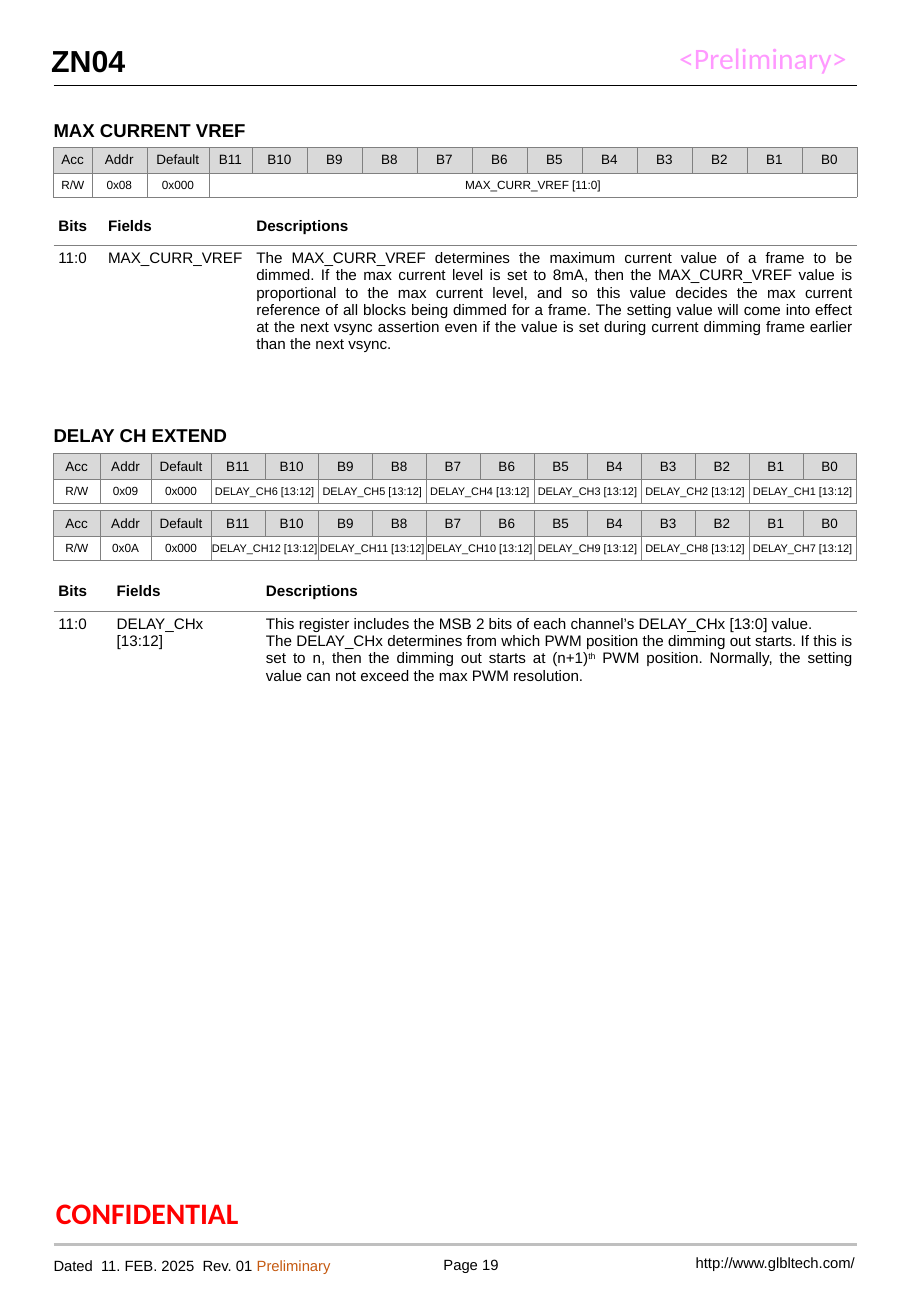
import pptx
import pptx.util
import pptx.dml.color
import pptx.enum.shapes
import pptx.enum.text
import pptx.oxml
import pptx.oxml.ns
from lxml import etree

Cm, Pt = pptx.util.Cm, pptx.util.Pt
ALIGN = pptx.enum.text.PP_ALIGN
ANCHOR = pptx.enum.text.MSO_ANCHOR

LEFT, RIGHT = 1.12, 17.93
WIDTH = 16.8
INSET = 0.1
HEAD_ROW, VALUE_ROW = 0.54, 0.5
GREY, BAND = "808080", "D9D9D9"

RULES = [(1.78, "000000", 0.5), (26.01, "BFBFBF", 2)]

LABELS = [
    (1.07, 0.76, 16.87, 1.02, ["ZN04"], dict(size=18, bold=True, pad=0.13)),
    (14.2, 0.84, 3.94, 0.76, ["<Preliminary>"], dict(size=17.6, font="Calibri", color="FF99FF")),
    (LEFT, 2.36, 16.76, 0.74, ["MAX CURRENT VREF"], dict(size=11, bold=True, pad=0.13)),
    (LEFT, 8.74, 16.76, 0.74, ["DELAY CH EXTEND"], dict(size=11, bold=True, pad=0.13)),
    (1.17, 24.97, 5.54, 0.79, ["CONFIDENTIAL"],
     dict(size=17.6, font="Calibri", color="FF0000", bold=True)),
    (LEFT, 26.19, 6.43, 0.53,
     [[("Dated  11. FEB. 2025  Rev. 01 ", {}), ("Preliminary", {"color": "C55A11"})]],
     dict(size=8.8, anchor=ANCHOR.MIDDLE)),
    (9.19, 26.26, 1.32, 0.38, ["Page 19"], dict(size=8.8, align=ALIGN.CENTER)),
    (14.2, 26.14, 3.68, 0.5, ["http://www.glbltech.com/"],
     dict(size=8.8, align=ALIGN.RIGHT, anchor=ANCHOR.MIDDLE)),
]

BITS = [f"B{n}" for n in range(11, -1, -1)]
HEADS = ["Acc", "Addr", "Default"] + BITS
WIDE_COLS, DELAY_COLS = [0.8, 1.15, 1.3, 0.9], [0.97, 1.07, 1.25]

REGISTERS = [
    (3.08, WIDE_COLS, "0x08", ["MAX_CURR_VREF [11:0]"], 7),
    (9.48, DELAY_COLS, "0x09", [f"DELAY_CH{n} [13:12]" for n in range(6, 0, -1)], 6.5),
    (10.67, DELAY_COLS, "0x0A", [f"DELAY_CH{n} [13:12]" for n in range(12, 6, -1)], 6.5),
]

FIELDS = [
    (4.31, [1.04, 3.1], [0.82, 2.49], ["MAX_CURR_VREF"], [
        "The MAX_CURR_VREF determines the maximum current value of a frame to be dimmed. "
        "If the max current level is set to 8mA, then the MAX_CURR_VREF value is proportional "
        "to the max current level, and so this value decides the max current reference of all "
        "blocks being dimmed for a frame. The setting value will come into effect at the next "
        "vsync assertion even if the value is set during current dimming frame earlier than "
        "the next vsync."]),
    (11.94, [1.22, 3.12], [0.84, 1.73], ["DELAY_CHx", "[13:12]"], [
        "This register includes the MSB 2 bits of each channel’s DELAY_CHx [13:0] value.",
        [("The DELAY_CHx determines from which PWM position the dimming out starts. If this is "
          "set to n, then the dimming out starts at (n+1)", {}),
         ("th", {"baseline": 30000}),
         (" PWM position. Normally, the setting value can not exceed the max PWM resolution.", {})]]),
]


def rgb(value):
    return pptx.dml.color.RGBColor.from_string(value)


def write(tf, paragraphs, size=9, font="Arial", color="000000", bold=False, align=ALIGN.LEFT):
    for i, runs in enumerate(paragraphs):
        p = tf.add_paragraph() if i else tf.paragraphs[0]
        p.alignment = align
        for text, change in [(runs, {})] if isinstance(runs, str) else runs:
            r = p.add_run()
            r.text = text
            r.font.size, r.font.name, r.font.bold = Pt(size), font, bold
            r.font.color.rgb = rgb(change.get("color", color))
            if "baseline" in change:
                r.font._element.set("baseline", str(change["baseline"]))


def add_label(s, x, y, w, h, paragraphs, pad=0, anchor=ANCHOR.TOP, **style):
    tf = s.shapes.add_textbox(Cm(x), Cm(y), Cm(w), Cm(h)).text_frame
    tf.word_wrap = True
    tf.vertical_anchor = anchor
    tf.margin_left = tf.margin_right = 0
    tf.margin_top = tf.margin_bottom = Cm(pad)
    write(tf, paragraphs, **style)


def add_rule(s, y, color, weight):
    line = s.shapes.add_connector(
        pptx.enum.shapes.MSO_CONNECTOR.STRAIGHT, Cm(LEFT), Cm(y), Cm(RIGHT), Cm(y))
    line.line.color.rgb = rgb(color)
    line.line.width = Pt(weight)
    etree.SubElement(line._element.spPr, pptx.oxml.ns.qn("a:effectLst"))


def set_borders(cell, sides, weight):
    tcPr = cell._tc.get_or_add_tcPr()
    for i, side in enumerate("LRTB"):
        paint = f'<a:solidFill><a:srgbClr val="{GREY}"/></a:solidFill>' if side in sides else "<a:noFill/>"
        tcPr.insert(i, pptx.oxml.parse_xml(
            f'<a:ln{side} {pptx.oxml.ns.nsdecls("a")} w="{Pt(weight)}">{paint}</a:ln{side}>'))


def add_grid(s, y, cols, rows):
    frame = s.shapes.add_table(len(rows), len(cols), Cm(LEFT), Cm(y), Cm(sum(cols)), Cm(sum(rows)))
    table = frame.table
    table.first_row = table.horz_banding = False
    for col, w in zip(table.columns, cols):
        col.width = Cm(w)
    for row, h in zip(table.rows, rows):
        row.height = Cm(h)
    return table


def fill_cell(cell, paragraphs, anchor=ANCHOR.MIDDLE, side=INSET, **style):
    cell.vertical_anchor = anchor
    cell.margin_left = cell.margin_right = Cm(side)
    cell.margin_top = cell.margin_bottom = Cm(INSET)
    write(cell.text_frame, paragraphs, **style)


def add_register(s, y, fixed, address, values, value_size):
    bits = len(HEADS) - len(fixed)
    cols = fixed + [(WIDTH - sum(fixed)) / bits] * bits
    table = add_grid(s, y, cols, [HEAD_ROW, VALUE_ROW])
    for c, head in enumerate(HEADS):
        fill_cell(table.cell(0, c), [head], size=8, align=ALIGN.CENTER)
        for r in range(2):
            cell = table.cell(r, c)
            if r:
                cell.fill.background()
            else:
                cell.fill.solid()
                cell.fill.fore_color.rgb = rgb(BAND)
            set_borders(cell, "LRTB", 0.25)
    for c, text in enumerate(["R/W", address, "0x000"]):
        fill_cell(table.cell(1, c), [text], size=7, align=ALIGN.CENTER)
    span = len(BITS) // len(values)
    for i, text in enumerate(values):
        c = 3 + i * span
        table.cell(1, c).merge(table.cell(1, c + span - 1))
        fill_cell(table.cell(1, c), [text], side=0, size=value_size, align=ALIGN.CENTER)


def add_fields(s, y, narrow, rows, names, description):
    table = add_grid(s, y, narrow + [WIDTH - sum(narrow)], rows)
    bodies = [["11:0"], names, description]
    for c, (head, body) in enumerate(zip(["Bits", "Fields", "Descriptions"], bodies)):
        fill_cell(table.cell(0, c), [head], bold=True)
        fill_cell(table.cell(1, c), body, anchor=ANCHOR.TOP,
                  align=ALIGN.JUSTIFY if c == 2 else ALIGN.LEFT)
        for r, side in enumerate("BT"):
            table.cell(r, c).fill.background()
            set_borders(table.cell(r, c), side, 0.5)


def main():
    prs = pptx.Presentation()
    prs.slide_width, prs.slide_height = Cm(19.05), Cm(27.51)
    s = prs.slides.add_slide(prs.slide_layouts[6])
    for rule in RULES:
        add_rule(s, *rule)
    for x, y, w, h, paragraphs, style in LABELS:
        add_label(s, x, y, w, h, paragraphs, **style)
    for register in REGISTERS:
        add_register(s, *register)
    for fields in FIELDS:
        add_fields(s, *fields)
    prs.save("out.pptx")


if __name__ == "__main__":
    main()
